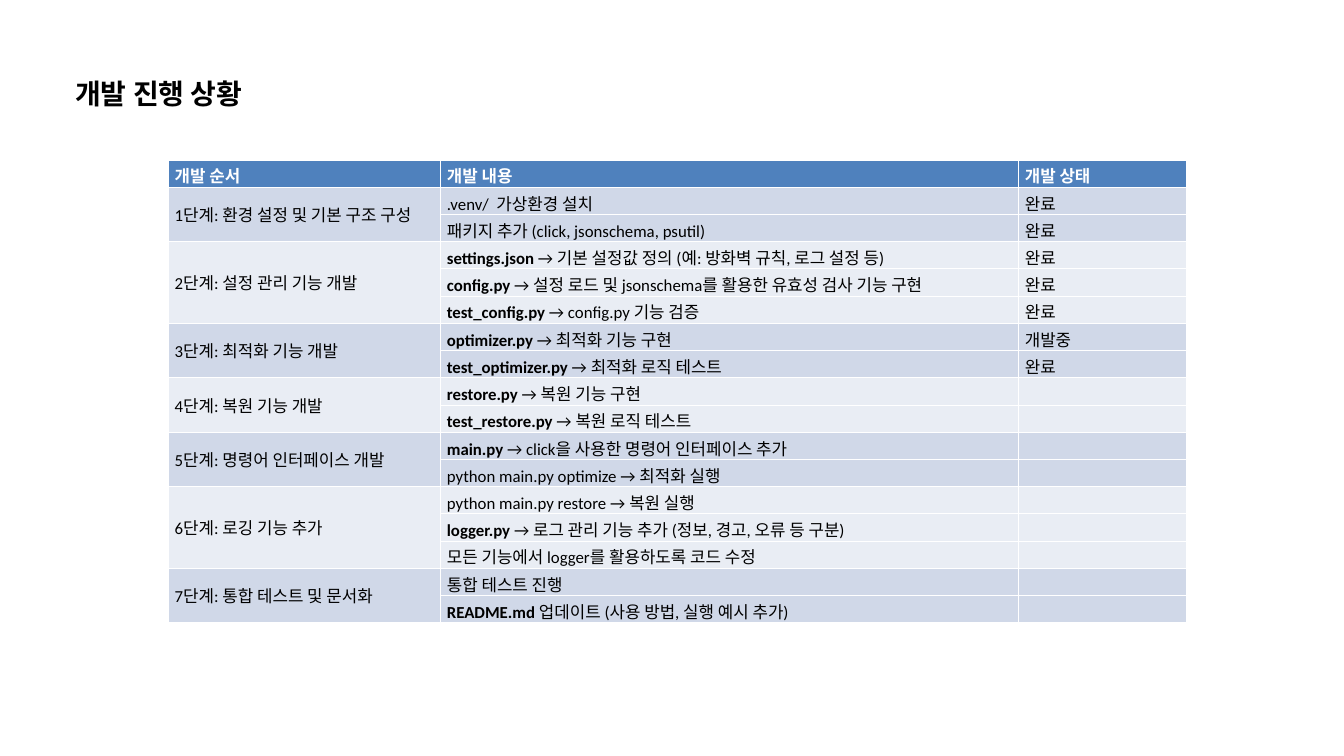
from pptx import Presentation
from pptx.dml.color import RGBColor
from pptx.enum.text import MSO_ANCHOR, MSO_AUTO_SIZE, PP_ALIGN
from pptx.util import Inches, Pt

TOP, MIDDLE = MSO_ANCHOR.TOP, MSO_ANCHOR.MIDDLE
LEFT = PP_ALIGN.LEFT
FIT_SHAPE = MSO_AUTO_SIZE.SHAPE_TO_FIT_TEXT
TITLE_ONLY = 5

BLACK, WHITE = "000000", "FFFFFF"
HEADER_FILL = "4F81BD"
BAND_FILLS = ("D0D8E8", "E9EDF4")
COLUMN_WIDTHS = (4.05, 8.6, 2.5)

HEADERS = ("개발 순서", "개발 내용", "개발 상태")
DONE, IN_PROGRESS, PENDING = "완료", "개발중", ""

# Each stage has tasks of (bold file name, description, status).
STAGES = [
    ("1단계: 환경 설정 및 기본 구조 구성", [
        ("", ".venv/  가상환경 설치", DONE),
        ("", "패키지 추가 (click, jsonschema, psutil)", DONE),
    ]),
    ("2단계: 설정 관리 기능 개발", [
        ("settings.json", " → 기본 설정값 정의 (예: 방화벽 규칙, 로그 설정 등)", DONE),
        ("config.py", " → 설정 로드 및 jsonschema를 활용한 유효성 검사 기능 구현", DONE),
        ("test_config.py", " → config.py 기능 검증", DONE),
    ]),
    ("3단계: 최적화 기능 개발", [
        ("optimizer.py", " → 최적화 기능 구현", IN_PROGRESS),
        ("test_optimizer.py", " → 최적화 로직 테스트", DONE),
    ]),
    ("4단계: 복원 기능 개발", [
        ("restore.py", " → 복원 기능 구현", PENDING),
        ("test_restore.py", " → 복원 로직 테스트", PENDING),
    ]),
    ("5단계: 명령어 인터페이스 개발", [
        ("main.py", " → click을 사용한 명령어 인터페이스 추가", PENDING),
        ("", "python main.py optimize → 최적화 실행", PENDING),
    ]),
    ("6단계: 로깅 기능 추가", [
        ("", "python main.py restore → 복원 실행", PENDING),
        ("logger.py", " → 로그 관리 기능 추가 (정보, 경고, 오류 등 구분)", PENDING),
        ("", "모든 기능에서 logger를 활용하도록 코드 수정", PENDING),
    ]),
    ("7단계: 통합 테스트 및 문서화", [
        ("", "통합 테스트 진행", PENDING),
        ("README.md", " 업데이트 (사용 방법, 실행 예시 추가)", PENDING),
    ]),
]


def rgb(color):
    return RGBColor.from_string(color)


def set_font(font, name, size, color, bold):
    font.name = name
    font.size = Pt(size)
    font.color.rgb = rgb(color)
    font.bold = bold


def format_title(title, text):
    title.left, title.top = Inches(1.12), Inches(1.06)
    title.width, title.height = Inches(4.01), Inches(0.54)
    tf = title.text_frame
    tf.margin_left = tf.margin_top = tf.margin_right = tf.margin_bottom = 0
    tf.vertical_anchor = TOP
    tf.auto_size = FIT_SHAPE
    tf.word_wrap = True
    p = tf.paragraphs[0]
    p.text = text
    p.alignment = LEFT
    p.line_spacing = Pt(42)
    set_font(p.font, "Inter", 30, BLACK, True)


def fill_cell(cell, text, fill, color=BLACK, bold=False, lead=""):
    """Write text after an optional bold lead, on a solid fill."""
    cell.fill.solid()
    cell.fill.fore_color.rgb = rgb(fill)
    p = cell.text_frame.paragraphs[0]
    set_font(p.font, "Calibri", 18, color, bold)
    if lead:
        r = p.add_run()
        r.text = lead
        r.font.bold = True
    if text:
        p.add_run().text = text


def add_progress_table(s):
    row_count = 1 + sum(len(tasks) for _, tasks in STAGES)
    table = s.shapes.add_table(row_count, len(HEADERS), Inches(2.5), Inches(2.38),
                               Inches(sum(COLUMN_WIDTHS)), Inches(6.89)).table
    for column, width in zip(table.columns, COLUMN_WIDTHS):
        column.width = Inches(width)
    for col, header in enumerate(HEADERS):
        fill_cell(table.cell(0, col), header, HEADER_FILL, WHITE, True)

    row = 1
    for i, (stage, tasks) in enumerate(STAGES):
        fill = BAND_FILLS[i % 2]
        stage_cell = table.cell(row, 0)
        stage_cell.merge(table.cell(row + len(tasks) - 1, 0))
        stage_cell.vertical_anchor = MIDDLE
        fill_cell(stage_cell, stage, fill)
        for lead, description, status in tasks:
            fill_cell(table.cell(row, 1), description, fill, lead=lead)
            fill_cell(table.cell(row, 2), status, fill)
            row += 1


def main():
    prs = Presentation()
    prs.slide_width, prs.slide_height = Inches(20), Inches(11.25)
    s = prs.slides.add_slide(prs.slide_layouts[TITLE_ONLY])
    format_title(s.shapes.title, "개발 진행 상황")
    add_progress_table(s)
    prs.save("out.pptx")


if __name__ == "__main__":
    main()
